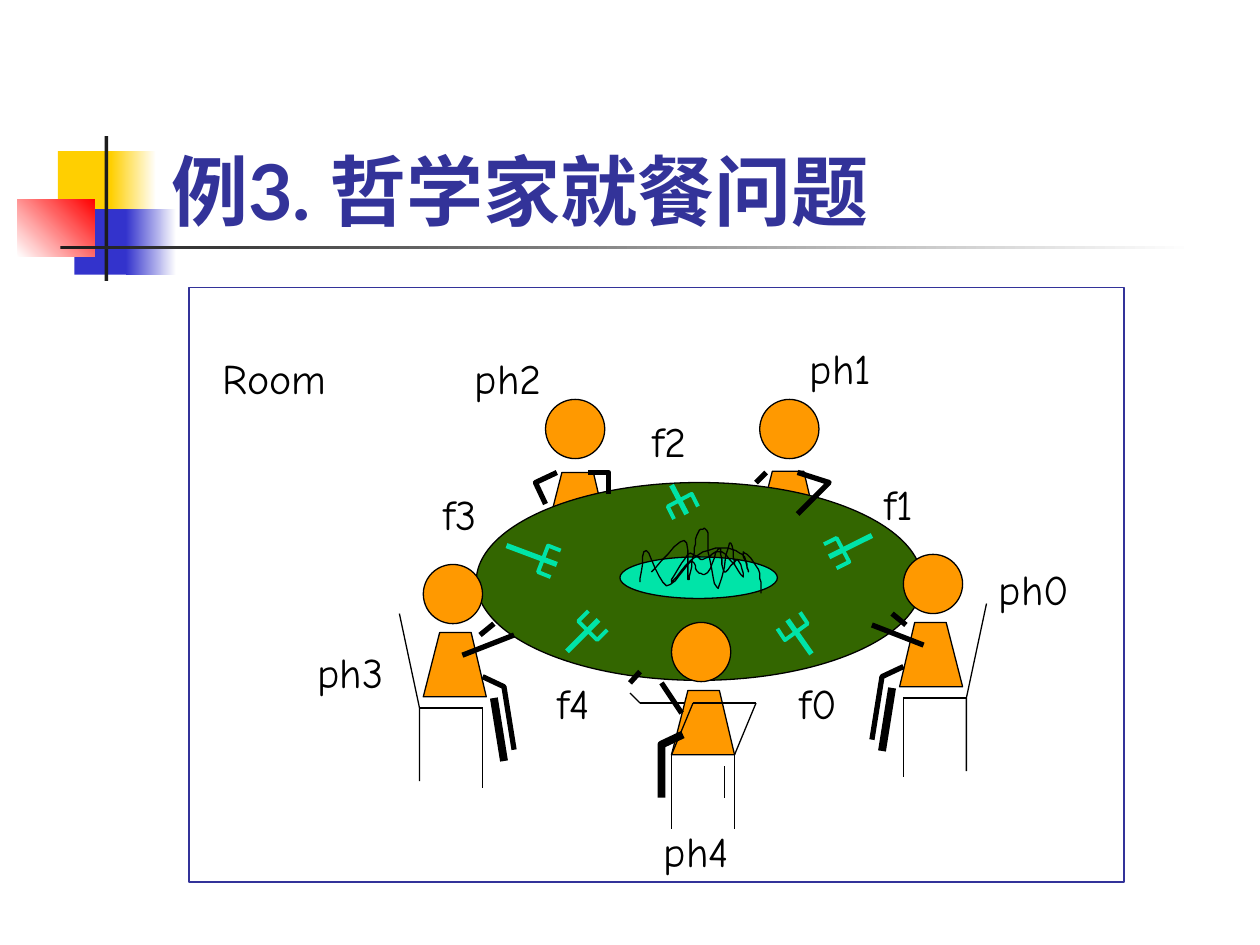
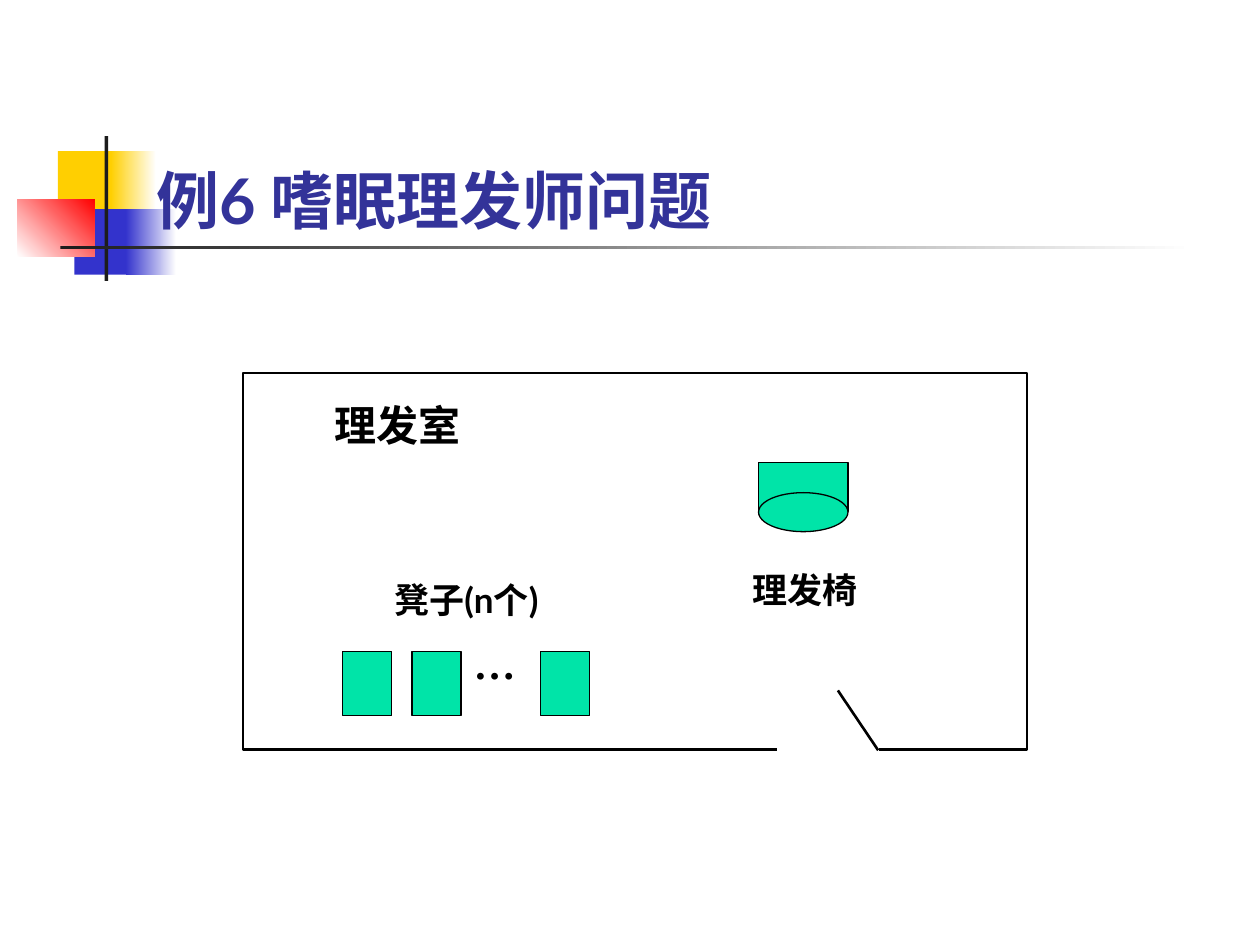
from dataclasses import dataclass
from math import hypot
from typing import Any

from lxml.etree import SubElement
from pptx import Presentation
from pptx.dml.color import RGBColor
from pptx.enum.shapes import MSO_CONNECTOR, MSO_SHAPE
from pptx.enum.text import MSO_ANCHOR
from pptx.oxml.ns import qn
from pptx.util import Pt

PX = 9144  # EMU per px, 100 px to the inch
BLACK = RGBColor(0x00, 0x00, 0x00)
WHITE = RGBColor(0xFF, 0xFF, 0xFF)
INK = RGBColor(0x1C, 0x1C, 0x1C)
YELLOW = RGBColor(0xFF, 0xCF, 0x01)
BLUE = RGBColor(0x33, 0x33, 0xCC)
RED = RGBColor(0xFF, 0x00, 0x00)
NAVY = RGBColor(0x33, 0x33, 0x99)
ORANGE = RGBColor(0xFF, 0x99, 0x00)
GREEN = RGBColor(0x33, 0x66, 0x00)
MINT = RGBColor(0x00, 0xE4, 0xA8)
HEADING, HAND, SERIF = "Lato", "Comic Neue", "Times New Roman"
THIN, WALL, FORK, LIMB, LEG = 0.75, 1.5, 2.25, 3, 4.5
HEAD = 47

# Turning points of the noodles, relative to the dish
NOODLES = [
    [(25, 12), (51, -13), (54, 18), (58, 0), (62, -19), (69, -21),
     (71, 0), (78, 25), (87, -11), (91, 6)],
    [(16, 20), (21, -5), (37, 23), (56, 4), (62, 12), (70, 12), (79, -7),
     (83, 12), (93, 2), (98, 16), (81, -4), (66, 2), (54, -2), (41, 20),
     (60, 0), (79, -7), (97, -2), (102, 12), (98, -4), (110, 10), (112, 29)],
]


@dataclass
class Region:
    """Part of a slide with its own origin; facing -1 mirrors it sideways."""
    slide: Any
    left: int = 0
    top: int = 0
    facing: int = 1

    def place(self, x, y):
        return self.left + self.facing * x, self.top + y

    def shape(self, kind, x, y, width, height, fill=None, line=None, weight=THIN):
        edge, top = self.place(x if self.facing > 0 else x + width, y)
        box = [length * PX for length in (edge, top, width, height)]
        return paint(self.slide.shapes.add_shape(kind, *box), fill, line, weight)

    def stroke(self, *points, color=BLACK, weight=THIN, fill=None):
        """Draw a connector through two points, an outline through more."""
        placed = [self.place(*point) for point in points]
        if len(placed) == 2:
            ends = [value * PX for point in placed for value in point]
            line = self.slide.shapes.add_connector(MSO_CONNECTOR.STRAIGHT, *ends)
            line.line.color.rgb = color
            line.line.width = Pt(weight)
            SubElement(line._element.spPr, qn("a:effectLst"))
            return line
        outline = self.slide.shapes.build_freeform(*placed[0], scale=PX)
        outline.add_line_segments(placed[1:], close=fill is not None)
        return paint(outline.convert_to_shape(), fill, color, weight)

    def text(self, words, x, y, width, height, size=24, name=HAND,
             color=BLACK, bold=False, anchor=MSO_ANCHOR.TOP):
        left, top = self.place(x, y)
        frame = self.slide.shapes.add_textbox(
            left * PX, top * PX, width * PX, height * PX).text_frame
        frame.word_wrap = True
        frame.vertical_anchor = anchor
        frame.text = words
        run = frame.paragraphs[0].runs[0]
        run.font.size = Pt(size)
        run.font.name = name
        run.font.bold = bold
        run.font.color.rgb = color
        SubElement(run.font._element, qn("a:ea")).set("typeface", name)
        run.font._element.set("lang", "zh-CN")


def paint(shape, fill, line, weight):
    shape.shadow.inherit = False
    if fill is None:
        shape.fill.background()
    else:
        shape.fill.solid()
        shape.fill.fore_color.rgb = fill
    if line is None:
        shape.line.fill.background()
    else:
        shape.line.color.rgb = line
        shape.line.width = Pt(weight)
    return shape


def fade(shape, start, end, angle=0):
    shape.fill.gradient()
    shape.fill.gradient_angle = angle
    for position, stop in enumerate(shape.fill.gradient_stops):
        stop.color.rgb = (start, end)[position]
        stop.position = position


def titled_slide(deck, title, box, size):
    slide = deck.slides.add_slide(deck.slide_layouts[6])
    page = Region(slide)
    rect = MSO_SHAPE.RECTANGLE
    page.shape(rect, 46, 120, 48, 52, YELLOW)
    fade(page.shape(rect, 88, 120, 36, 52), YELLOW, WHITE)
    page.shape(rect, 59, 166, 46, 52, BLUE)
    fade(page.shape(rect, 100, 166, 40, 52), BLUE, WHITE)
    fade(page.shape(rect, 14, 158, 61, 46), WHITE, RED, 45)
    page.shape(rect, 83, 108, 3, 115, INK)
    fade(page.shape(rect, 48, 195, 900, 3), INK, WHITE)
    page.text(title, *box, size, HEADING, NAVY, True, MSO_ANCHOR.BOTTOM)
    return slide


def torso(region, x, y):
    region.stroke((x, y + 51), (x + 13, y), (x + 38, y), (x + 50, y + 51), fill=ORANGE)


def head(region, x, y):
    region.shape(MSO_SHAPE.OVAL, x, y, HEAD, HEAD, ORANGE, BLACK)


def side_philosopher(slide, left, top, facing):
    seat = Region(slide, left, top, facing)
    seat.stroke((0, 39), (16, 114), (16, 172))
    seat.stroke((66, 114), (66, 177))
    seat.stroke((16, 114), (66, 114))
    torso(seat, 19, 54)
    head(seat, 19, 0)
    seat.stroke((75, 106), (83, 156), weight=LEG)
    seat.stroke((66, 89), (83, 97), (91, 147), weight=LIMB)
    seat.stroke((50, 72), (91, 56), weight=LIMB)
    seat.stroke((64, 56), (75, 47), weight=LIMB)


def front_philosopher(slide, left, top):
    seat = Region(slide, left, top)
    seat.stroke((8, 64), (58, 64))
    seat.stroke((0, 56), (8, 64))
    seat.stroke((8, 39), (0, 48), weight=LIMB)
    torso(seat, 33, 54)
    for x in (33, 83):
        seat.stroke((x, 105), (x, 164))
        seat.stroke((x, 105), (x + 17, 64))
    seat.stroke((50, 64), (100, 64))
    head(seat, 33, 0)
    seat.stroke((75, 114), (75, 139))
    seat.stroke((25, 48), (41, 72), weight=LIMB)
    seat.stroke((42, 89), (25, 97), (25, 139), weight=LEG)


def back_philosophers(slide):
    """Heads and arms of the two who sit behind the table."""
    right = Region(slide, 600, 317)
    head(right, 3, 0)
    right.stroke((33, 58), (58, 66), (33, 91), weight=LIMB)
    right.stroke((8, 58), (0, 66), weight=LIMB)
    left = Region(slide, 425, 317)
    head(left, 8, 0)
    left.stroke((17, 58), (0, 66), (8, 83), weight=LIMB)
    left.stroke((42, 58), (58, 58), (58, 75), weight=LIMB)


def smooth(knots, steps=6):
    """Points of a Catmull-Rom curve through the knots."""
    padded = [knots[0], *knots, knots[-1]]
    points = [knots[0]]
    for before, start, end, after in zip(padded, padded[1:], padded[2:], padded[3:]):
        for step in range(1, steps + 1):
            t = step / steps
            points.append(tuple(
                b + t * (c - a + t * (2 * a - 5 * b + 4 * c - d
                                      + t * (3 * (b - c) + d - a))) / 2
                for a, b, c, d in zip(before, start, end, after)))
    return points


def dish(slide, left, top):
    bowl = Region(slide, left, top)
    bowl.shape(MSO_SHAPE.OVAL, 0, 0, 125, 33, MINT, BLACK)
    for noodle in NOODLES:
        bowl.stroke(*smooth(noodle))


def fork(room, butt, tip):
    """Handle from butt to tip, with a U of prongs around the tip."""
    length = hypot(tip[0] - butt[0], tip[1] - butt[1])
    dx, dy = (tip[0] - butt[0]) / length, (tip[1] - butt[1]) / length

    def beside(forward, side):
        return tip[0] + forward * dx - side * dy, tip[1] + forward * dy + side * dx

    room.stroke(butt, tip, color=MINT, weight=LIMB)
    room.stroke(beside(-1, -11), beside(-12, -11), beside(-12, 11), beside(-1, 11),
                color=MINT, weight=FORK)


def dining_room(slide, left, top, width, height):
    room = Region(slide, left, top)
    room.shape(MSO_SHAPE.RECTANGLE, 0, 0, width, height, line=NAVY)
    torso(room, 283, 147)
    torso(room, 450, 146)
    room.shape(MSO_SHAPE.OVAL, 228, 155, 354, 157, GREEN, BLACK)
    side_philosopher(slide, left + 167, top + 220, 1)
    side_philosopher(slide, left + 633, top + 212, -1)
    front_philosopher(slide, left + 350, top + 266)
    back_philosophers(slide)
    dish(slide, left + 342, top + 214)
    for butt, tip in [((300, 289), (325, 264)), ((494, 291), (475, 264)),
                      ((542, 197), (508, 214)), ((383, 157), (395, 180)),
                      ((252, 205), (292, 220))]:
        fork(room, butt, tip)
    room.text("Room", 17, 47, 117, 50)
    philosopher_spots = [(633, 214), (483, 39), (217, 47), (92, 280), (367, 422)]
    fork_spots = [(475, 305), (542, 147), (358, 97), (192, 155), (283, 305)]
    for prefix, spots, label_width in (("ph", philosopher_spots, 92),
                                       ("f", fork_spots, 67)):
        for number, spot in enumerate(spots):
            room.text(f"{prefix}{number}", *spot, label_width, 50)


def barber_shop(slide, left, top, width, height):
    shop = Region(slide, left, top)
    rect = MSO_SHAPE.RECTANGLE
    shop.shape(rect, 0, 0, width, height, WHITE, BLACK, WALL)
    for stool_x in (79, 134, 236):
        shop.shape(rect, stool_x, 221, 39, 51, MINT, BLACK)
    shop.text("…", 173, 205, 55, 50, name=SERIF, bold=True)
    shop.text("凳子(n个)", 110, 158, 165, 44, 20, HEADING, bold=True)
    shop.shape(rect, 409, 71, 71, 39, MINT, BLACK)
    shop.shape(MSO_SHAPE.OVAL, 409, 95, 71, 31, MINT, BLACK)
    shop.text("理发椅", 394, 150, 118, 44, 20, HEADING, bold=True)
    doorway = shop.shape(rect, 425, 268, 79, 63, WHITE, WHITE, WALL)
    door = shop.stroke((504, 299), (472, 252), weight=WALL)
    door.begin_connect(doorway, 3)
    shop.text("理发室", 63, 16, 142, 50, 24, HEADING, bold=True)


def main():
    deck = Presentation()
    deck.slide_width, deck.slide_height = 1000 * PX, 750 * PX
    dining = titled_slide(deck, "例3. 哲学家就餐问题", (126, 67, 852, 125), 44)
    dining_room(dining, 150, 228, 742, 472)
    barber = titled_slide(deck, "例6 嗜眠理发师问题", (114, 68, 886, 125), 36)
    barber_shop(barber, 193, 296, 622, 299)
    deck.save("out.pptx")


if __name__ == "__main__":
    main()
